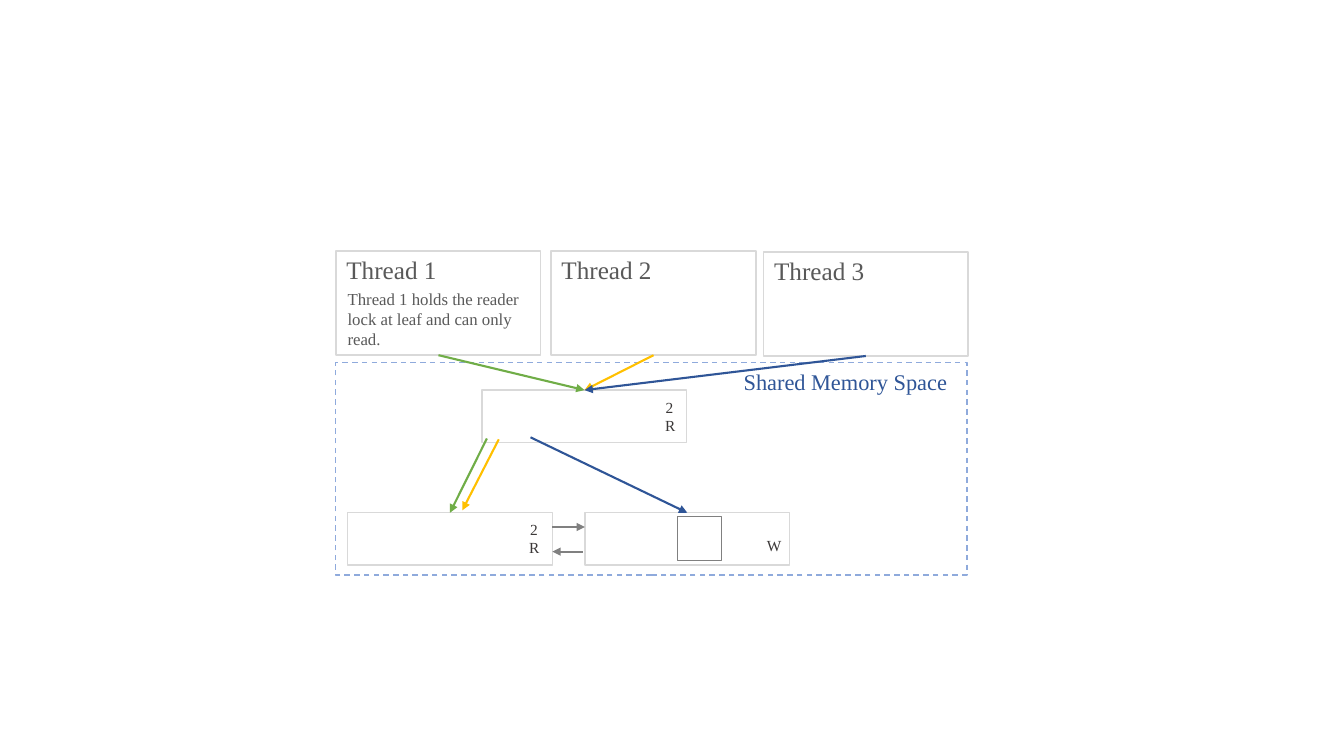
from lxml import etree
from pptx import Presentation
from pptx.dml.color import RGBColor
from pptx.enum.dml import MSO_LINE
from pptx.enum.shapes import MSO_CONNECTOR, MSO_SHAPE
from pptx.enum.text import MSO_AUTO_SIZE, PP_ALIGN
from pptx.oxml.ns import qn
from pptx.util import Cm, Pt

RECTANGLE = MSO_SHAPE.RECTANGLE
STRAIGHT = MSO_CONNECTOR.STRAIGHT
DASH = MSO_LINE.DASH
FIT_SHAPE = MSO_AUTO_SIZE.SHAPE_TO_FIT_TEXT
LEFT, CENTER = PP_ALIGN.LEFT, PP_ALIGN.CENTER

LIGHT_BLUE = RGBColor(0x8F, 0xAA, 0xDC)
LIGHT_GRAY = RGBColor(0xD9, 0xD9, 0xD9)
GRAY = RGBColor(0x80, 0x80, 0x80)
TEXT_GRAY = RGBColor(0x59, 0x59, 0x59)
DARK = RGBColor(0x3B, 0x38, 0x38)
GREEN = RGBColor(0x70, 0xAD, 0x47)
YELLOW = RGBColor(0xFF, 0xC0, 0x00)
BLUE = RGBColor(0x2F, 0x55, 0x97)

BOX_WIDTH, NODE_HEIGHT, THREAD_HEIGHT = 5.16, 1.32, 2.62

deck = Presentation()
deck.slide_width, deck.slide_height = Cm(33.87), Cm(19.05)
page = deck.slides.add_slide(deck.slide_layouts[6])

boxes = {}
for name, left, top, width, height, color in [
    ("Shared memory", 8.46, 9.14, 15.91, 5.35, LIGHT_BLUE),
    ("Root", 12.15, 9.83, BOX_WIDTH, NODE_HEIGHT, LIGHT_GRAY),
    ("Left leaf", 8.76, 12.92, BOX_WIDTH, NODE_HEIGHT, LIGHT_GRAY),
    ("Entry", 17.07, 13.01, 1.12, 1.12, GRAY),
    ("Right leaf", 14.74, 12.92, BOX_WIDTH, NODE_HEIGHT, LIGHT_GRAY),
    ("Thread 1", 8.47, 6.33, BOX_WIDTH, THREAD_HEIGHT, LIGHT_GRAY),
    ("Thread 2", 13.89, 6.33, BOX_WIDTH, THREAD_HEIGHT, LIGHT_GRAY),
    ("Thread 3", 19.24, 6.35, BOX_WIDTH, THREAD_HEIGHT, LIGHT_GRAY),
]:
    box = page.shapes.add_shape(RECTANGLE, Cm(left), Cm(top), Cm(width), Cm(height))
    box.shadow.inherit = False
    box.fill.background()
    box.line.color.rgb = color
    box.line.width = Pt(1)
    boxes[name] = box
boxes["Shared memory"].line.dash_style = DASH


def add_arrow(start, end, color):
    arrow = page.shapes.add_connector(STRAIGHT, *map(Cm, start + end))
    arrow.line.color.rgb = color
    arrow.line.width = Pt(1.5)
    properties = arrow._element.spPr
    etree.SubElement(properties.find(qn("a:ln")), qn("a:tailEnd"), type="triangle")
    etree.SubElement(properties, qn("a:effectLst"))
    return arrow


for start, end, color, leaf in [
    ((12.27, 11.05), (11.34, 12.92), GREEN, "Left leaf"),
    ((12.57, 11.07), (11.65, 12.86), YELLOW, None),
    ((13.37, 11.02), (17.32, 12.92), BLUE, "Right leaf"),
    ((13.92, 13.28), (14.74, 13.28), GRAY, None),
    ((14.69, 13.9), (13.92, 13.9), GRAY, None),
]:
    arrow = add_arrow(start, end, color)
    if leaf:
        arrow.end_connect(boxes[leaf], 0)

for thread, start, color in [
    ("Thread 1", (11.05, 8.95), GREEN),
    ("Thread 2", (16.47, 8.95), YELLOW),
    ("Thread 3", (21.82, 8.97), BLUE),
]:
    arrow = add_arrow(start, (14.73, 9.83), color)
    arrow.begin_connect(boxes[thread], 2)
    arrow.end_connect(boxes["Root"], 0)

heading = {"size": Pt(18), "color": TEXT_GRAY, "align": LEFT, "wrap": False}
note = {"size": Pt(12), "color": TEXT_GRAY, "align": LEFT, "wrap": True}
caption = {"size": Pt(16), "color": BLUE, "align": LEFT, "wrap": True}
lock = {"size": Pt(11), "color": DARK, "align": CENTER, "wrap": True}

for text, left, top, width, height, style in [
    ("Thread 1", 8.48, 6.29, 2.82, 1.02, heading),
    ("Thread 2", 13.9, 6.29, 2.82, 1.02, heading),
    ("Thread 3", 19.26, 6.31, 2.82, 1.02, heading),
    ("Thread 1 holds the reader lock at leaf and can only read.",
     8.51, 7.14, BOX_WIDTH, 1.8, note),
    ("Shared Memory Space", 18.49, 9.14, 5.97, 0.94, caption),
    ("2", 16.48, 9.91, 0.79, 0.74, lock),
    ("R", 16.5, 10.35, 0.79, 0.74, lock),
    ("2", 13.06, 12.98, 0.79, 0.74, lock),
    ("R", 13.07, 13.44, 0.79, 0.74, lock),
    ("W", 19.08, 13.39, 0.79, 0.74, lock),
]:
    label = page.shapes.add_textbox(Cm(left), Cm(top), Cm(width), Cm(height))
    frame = label.text_frame
    frame.word_wrap = style["wrap"]
    frame.auto_size = FIT_SHAPE
    para = frame.paragraphs[0]
    para.alignment = style["align"]
    span = para.add_run()
    span.text = text
    for attribute, value in {"name": "Times New Roman", "size": style["size"]}.items():
        setattr(span.font, attribute, value)
    span.font.color.rgb = style["color"]

deck.save("out.pptx")
